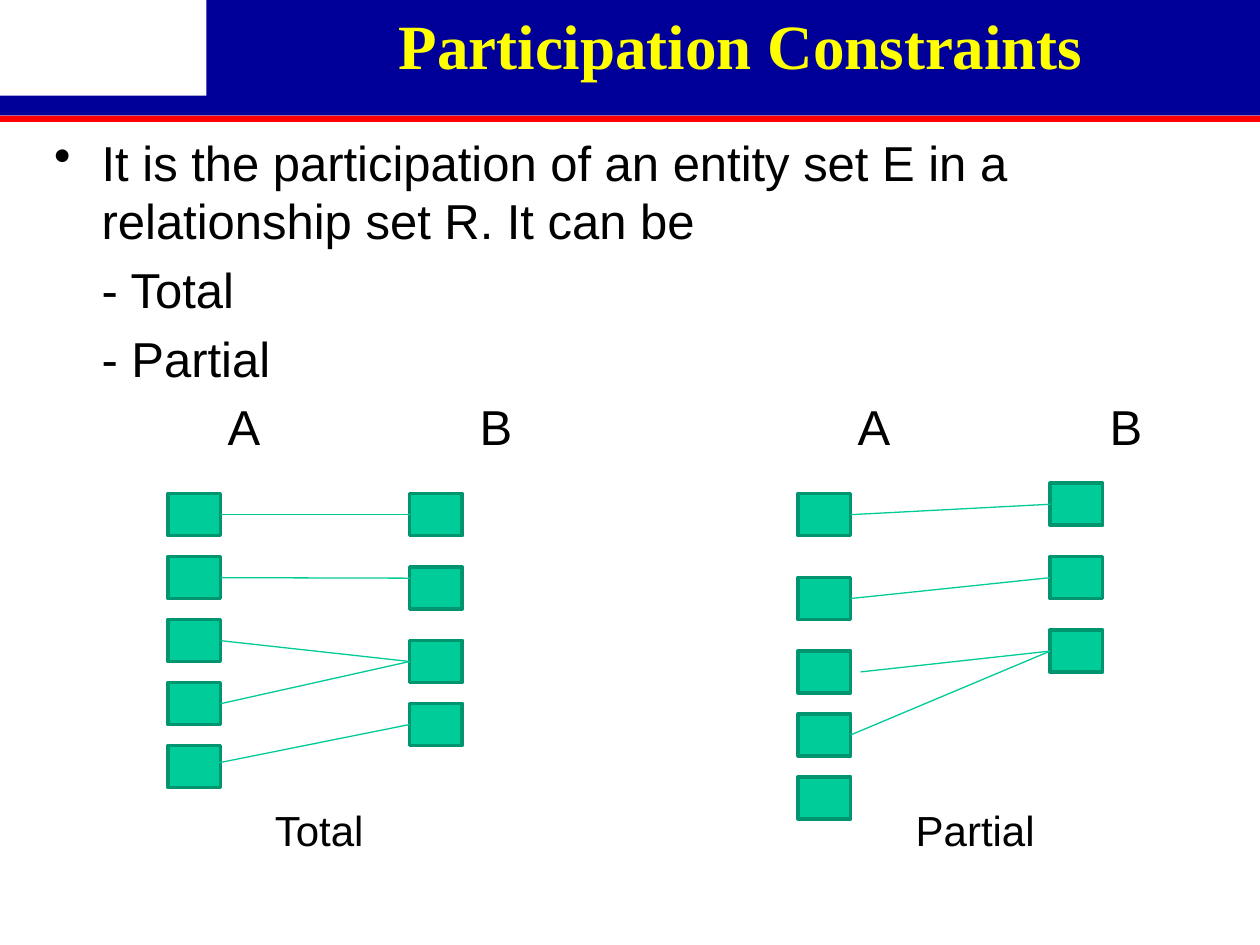
from dataclasses import dataclass

from lxml import etree
from pptx import Presentation
from pptx import util as u
from pptx.dml.color import RGBColor
from pptx.enum import shapes, text
from pptx.oxml import ns

Cm, Pt = u.Cm, u.Pt


@dataclass(frozen=True)
class Theme:
    navy: RGBColor = RGBColor(0x00, 0x00, 0x99)
    red: RGBColor = RGBColor(0xFF, 0x00, 0x00)
    yellow: RGBColor = RGBColor(0xFF, 0xFF, 0x00)
    black: RGBColor = RGBColor(0x00, 0x00, 0x00)
    entity: RGBColor = RGBColor(0x00, 0xCC, 0x99)
    outline: RGBColor = RGBColor(0x00, 0x94, 0x6F)
    link: RGBColor = RGBColor(0x00, 0xCB, 0x97)
    title_size: int = 36
    body_size: int = 28
    caption_size: int = 24


theme = Theme()
deck = Presentation()
deck.slide_width, deck.slide_height = Cm(25.4), Cm(19.05)
page = deck.slides.add_slide(deck.slide_layouts[6])


def add_rect(left, top, width, height, fill, line=None):
    rect = page.shapes.add_shape(
        shapes.MSO_SHAPE.RECTANGLE, Cm(left), Cm(top), Cm(width), Cm(height))
    rect.shadow.inherit = False
    rect.fill.solid()
    rect.fill.fore_color.rgb = fill
    if line is None:
        rect.line.fill.background()
    else:
        rect.line.color.rgb = line
        rect.line.width = Pt(2)


def add_text(left, top, width, height, lines, size, color, name="Arial"):
    box = page.shapes.add_textbox(Cm(left), Cm(top), Cm(width), Cm(height))
    frame = box.text_frame
    frame.word_wrap = True
    frame.text = "\n".join(lines)
    for span in (span for para in frame.paragraphs for span in para.runs):
        span.font.name = name
        span.font.size = Pt(size)
        span.font.color.rgb = color
    return frame


# Header bands, leaving a white corner at the left
add_rect(0, 2.33, 25.4, 0.13, theme.red)
add_rect(4.16, 0, 21.24, 1.95, theme.navy)
add_rect(0, 1.93, 25.4, 0.4, theme.navy)

# Title
title = add_text(4.47, 0, 20.93, 2.26, ["Participation Constraints"],
                 theme.title_size, theme.yellow, "Times New Roman")
title.vertical_anchor = text.MSO_ANCHOR.MIDDLE
title.margin_bottom = Cm(0.41)
title.paragraphs[0].alignment = text.PP_ALIGN.CENTER
title.paragraphs[0].line_spacing = 0.9
title.paragraphs[0].runs[0].font.bold = True

# Body: one bulleted paragraph, then tabbed lines on the same hanging indent
body = add_text(0.84, 2.54, 23.93, 15.24, [
    "It is the participation of an entity set E in a relationship set R. It can be",
    "\t- Total",
    "\t- Partial",
    "\t\tA\t\tB\t\t\tA\t\tB",
], theme.body_size, theme.black)
for number, para in enumerate(body.paragraphs):
    para.line_spacing = 1.0
    properties = para._p.get_or_add_pPr()
    properties.set("marL", str(Cm(0.96)))
    properties.set("indent", str(Cm(-0.96)))
    properties.set("defTabSz", str(Cm(2.54)))
    if number:
        para.space_before = Pt(5.6)
        etree.SubElement(properties, ns.qn("a:buNone"))
    else:
        etree.SubElement(properties, ns.qn("a:buChar"), char="•")

# Mapping diagrams: A and B columns as (left, tops); links as
# (A index, B index, shift of the start in x, shift of the end in y)
box_width, box_height = 1.06, 0.85
diagrams = [
    ((3.39, [9.95 + 1.27 * row for row in range(5)]),
     (8.26, [9.95, 11.43, 12.91, 14.18]),
     [(0, 0, 0, 0), (1, 1, 0, -0.2), (2, 2, 0, 0), (3, 2, 0, 0), (4, 3, -0.43, 0)]),
    ((16.09, [9.95, 11.64, 13.12, 14.39, 15.66]),
     (21.17, [9.74, 11.22, 12.7]),
     [(0, 0, 0, 0), (1, 1, 0, 0), (2, 2, 0.2, 0), (3, 2, 0, 0)]),
]
for column_a, column_b, links in diagrams:
    for left, tops in (column_a, column_b):
        for top in tops:
            add_rect(left, top, box_width, box_height, theme.entity, theme.outline)
    for a, b, shift_x, shift_y in links:
        link = page.shapes.add_connector(
            shapes.MSO_CONNECTOR.STRAIGHT,
            Cm(column_a[0] + box_width + shift_x),
            Cm(column_a[1][a] + box_height / 2),
            Cm(column_b[0]),
            Cm(column_b[1][b] + box_height / 2 + shift_y))
        link.line.color.rgb = theme.link
        link.line.width = Pt(0.75)
        etree.SubElement(link._element.spPr, ns.qn("a:effectLst"))

# Captions
for left, caption in ((5.29, "Total"), (18.21, "Partial")):
    add_text(left, 16.09, 3.81, 1.27, [caption], theme.caption_size, theme.black)

deck.save("out.pptx")
